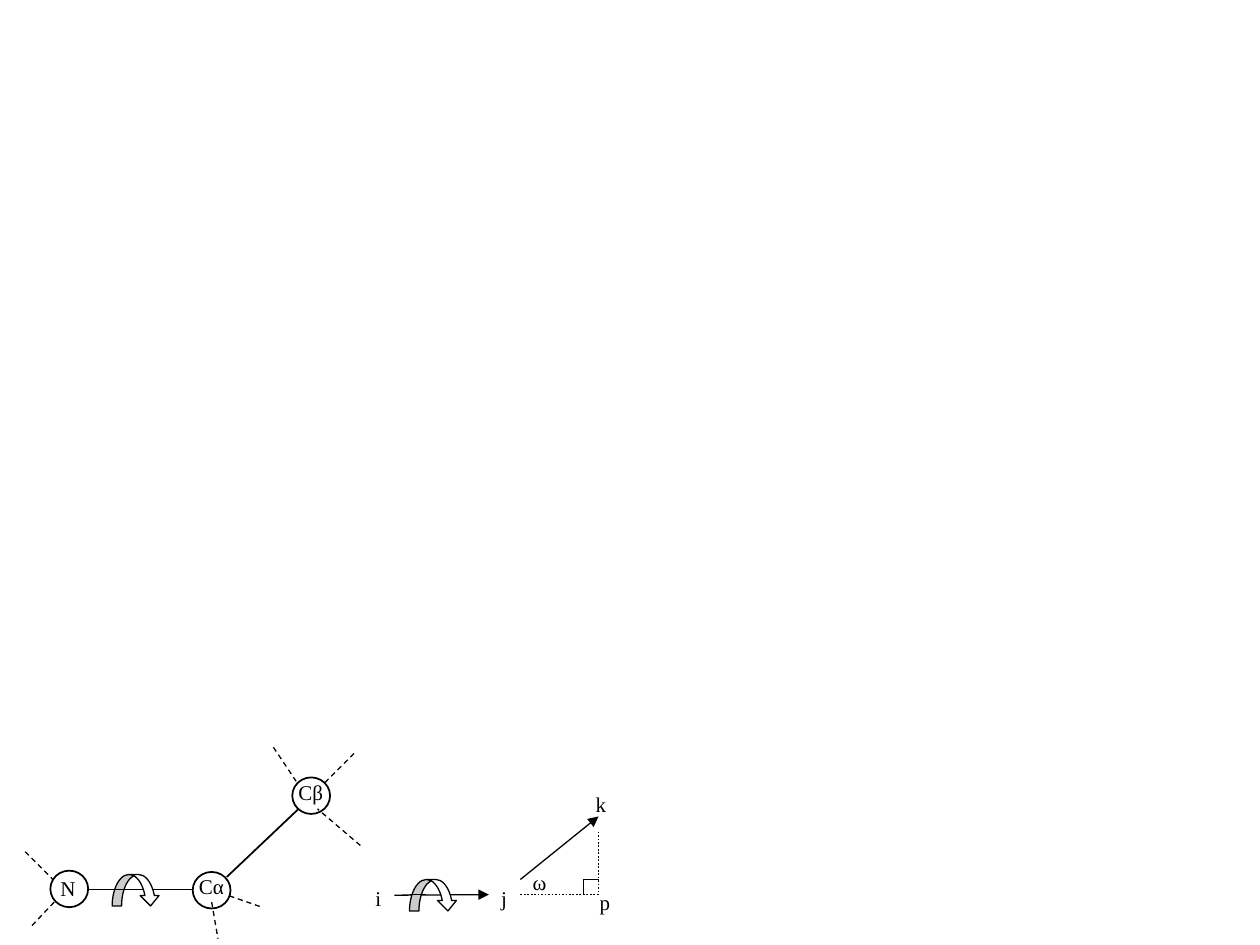
from dataclasses import dataclass

from lxml import etree
from pptx import Presentation
from pptx.dml.color import RGBColor
from pptx.enum.dml import MSO_LINE
from pptx.enum.shapes import MSO_CONNECTOR, MSO_SHAPE
from pptx.oxml.ns import qn
from pptx.util import Inches, Pt

STRAIGHT = MSO_CONNECTOR.STRAIGHT
DASH, DOT = MSO_LINE.DASH, MSO_LINE.ROUND_DOT
OVAL, CURVED_ARROW = MSO_SHAPE.OVAL, MSO_SHAPE.CURVED_DOWN_ARROW
RIGHT_SIDE = 3


@dataclass(frozen=True)
class Theme:
    ink: RGBColor = RGBColor(0, 0, 0)
    paper: RGBColor = RGBColor(255, 255, 255)
    font: str = "Times New Roman"
    label: Pt = Pt(12)
    thin: Pt = Pt(0.75)
    bond: Pt = Pt(1)


theme = Theme()
presentation = Presentation()
presentation.slide_width, presentation.slide_height = Inches(10), Inches(7.5)
slide = presentation.slides.add_slide(presentation.slide_layouts[6])


def add_line(start, end, width, dash=None, arrow=False):
    points = [Inches(value) for value in (*start, *end)]
    line = slide.shapes.add_connector(STRAIGHT, *points)
    line.line.color.rgb = theme.ink
    line.line.width = width
    if dash is not None:
        line.line.dash_style = dash
    if arrow:
        etree.SubElement(line.line._get_or_add_ln(), qn("a:tailEnd"), type="triangle")
    etree.SubElement(line._element.spPr, qn("a:effectLst"))
    return line


def add_outlined(preset, left, top, width, height, line_width):
    shape = slide.shapes.add_shape(preset, *map(Inches, (left, top, width, height)))
    shape.shadow.inherit = False
    shape.fill.background()
    shape.line.color.rgb = theme.ink
    shape.line.width = line_width
    return shape


# Labels: text, left, top, width, height, white background
labels = [
    ("i", 2.88, 6.98, 0.25, 0.25, True),
    ("j", 3.88, 6.98, 0.37, 0.38, True),
    ("k", 4.63, 6.23, 0.37, 0.38, True),
    ("N", 0.38, 6.9, 0.38, 0.25, True),
    ("Cα", 1.48, 6.88, 0.5, 0.38, True),
    ("Cβ", 2.27, 6.14, 0.62, 0.38, True),
    ("p", 4.66, 7.01, 0.38, 0.38, False),
    ("ω", 4.13, 6.85, 0.37, 0.37, False),
]
label_boxes = {}
for text, left, top, width, height, filled in labels:
    box = slide.shapes.add_textbox(*map(Inches, (left, top, width, height)))
    box.text_frame.word_wrap = True
    if filled:
        box.fill.solid()
        box.fill.fore_color.rgb = theme.paper
    run = box.text_frame.paragraphs[0].add_run()
    run.text = text
    run.font.name = theme.font
    run.font.size = theme.label
    run.font.color.rgb = theme.ink
    label_boxes[text] = box

# Vectors i to j and j to k
axis_vector = add_line((3.13, 7.1), (3.88, 7.1), theme.thin, arrow=True)
axis_vector.begin_connect(label_boxes["i"], RIGHT_SIDE)
add_line((4.13, 6.98), (4.75, 6.48), theme.thin, arrow=True)

# Bonds N to Cα to Cβ
add_line((0.7, 7.06), (1.53, 7.06), theme.bond)
add_line((1.8, 6.96), (2.37, 6.42), theme.bond)

# Open bonds to neighbouring atoms
open_bonds = [
    ((0.43, 7.16), (0.25, 7.35)),
    ((0.2, 6.76), (0.42, 6.98)),
    ((2.17, 5.93), (2.35, 6.2)),
    ((2.86, 6.71), (2.52, 6.42)),
    ((2.81, 5.98), (2.57, 6.22)),
    ((1.82, 7.11), (2.08, 7.2)),
    ((1.68, 7.16), (1.73, 7.45)),
]
for start, end in open_bonds:
    add_line(start, end, theme.thin, DASH)

# Rotation arrows, each with the axis passing in front of its left half
for left, top, axis_y, axis_width in [
    (3.25, 6.98, 7.1, theme.thin),
    (0.89, 6.94, 7.06, theme.bond),
]:
    rotation = add_outlined(CURVED_ARROW, left, top, 0.38, 0.25, theme.thin)
    rotation.fill.solid()
    rotation.fill.fore_color.rgb = theme.paper
    for index, value in enumerate((0.3, 0.6, 0.33)):
        rotation.adjustments[index] = value
    add_line((left, axis_y), (left + 0.13, axis_y), axis_width)

# Atoms N, Cα and Cβ
for left, top in [(0.4, 6.91), (1.53, 6.92), (2.32, 6.17)]:
    add_outlined(OVAL, left, top, 0.3, 0.29, theme.bond)

# Projection of k onto the axis, with its right angle at p
add_line((4.75, 6.6), (4.75, 7.1), theme.bond, DOT)
add_line((4.13, 7.1), (4.75, 7.1), theme.bond, DOT)
add_line((4.63, 6.98), (4.63, 7.1), theme.bond)
add_line((4.63, 6.98), (4.75, 6.98), theme.bond)

presentation.save("out.pptx")
